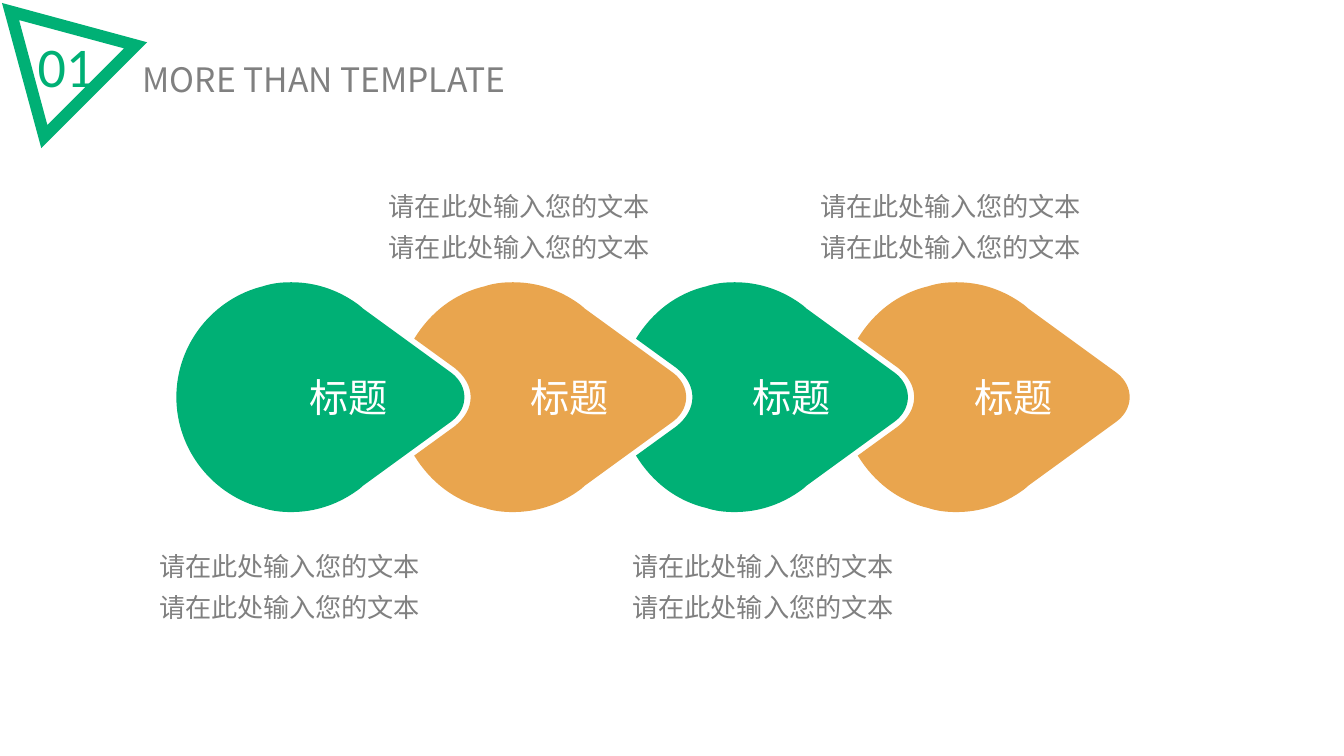
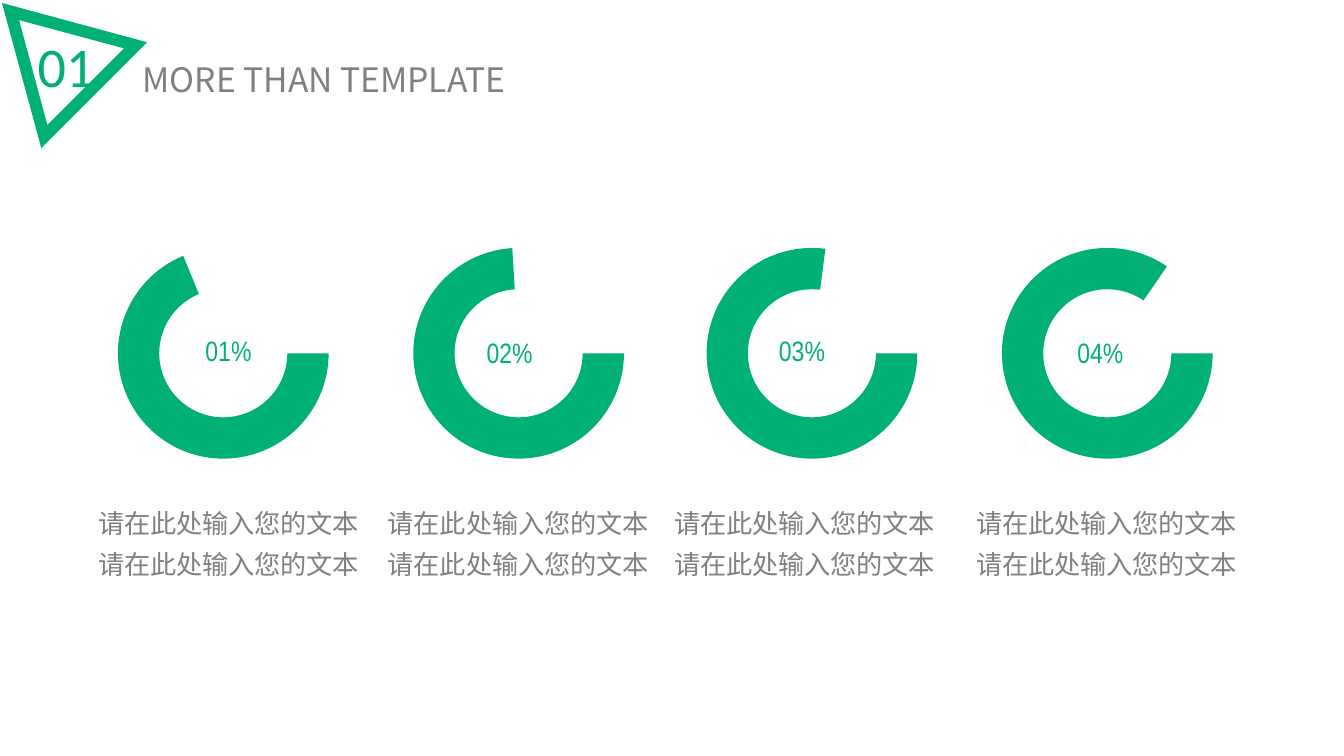
from dataclasses import dataclass

from lxml import etree
from pptx import Presentation
from pptx.dml.color import RGBColor
from pptx.enum.shapes import MSO_SHAPE
from pptx.enum.text import MSO_ANCHOR, MSO_AUTO_SIZE, PP_ALIGN
from pptx.oxml.ns import qn
from pptx.util import Inches, Pt

ARC = MSO_SHAPE.BLOCK_ARC
TOP, MID = MSO_ANCHOR.TOP, MSO_ANCHOR.MIDDLE
LEFT, MIDDLE = PP_ALIGN.LEFT, PP_ALIGN.CENTER
GROW, FIXED = MSO_AUTO_SIZE.SHAPE_TO_FIT_TEXT, MSO_AUTO_SIZE.NONE

GREEN, GOLD, GREY, WHITE = "00B075", "E9A54E", "808080", "FFFFFF"
HAN = "Noto Sans CJK SC"
NOTE = "请在此处输入您的文本"

Point = tuple[float, float]


@dataclass(frozen=True)
class Style:
    size: float
    color: str
    font: str = HAN
    align: PP_ALIGN = MIDDLE
    anchor: MSO_ANCHOR = TOP
    wrap: bool = True
    grow: bool = True
    inset: bool = True
    lead: float = 1.0


@dataclass(frozen=True)
class Drop:
    color: str
    left: float  # left edge of the note
    top: float


@dataclass(frozen=True)
class Ring:
    left: float
    gap: float  # open angle in degrees
    mark: Point
    note: float


NUMBER = Style(40, GREEN, "Calibri", anchor=MID, wrap=False)
HEAD = Style(24, GREY, anchor=MID)
LABEL = Style(28, WHITE, anchor=MID, grow=False, inset=False)
BODY = Style(18.67, GREY, lead=1.3)
SHARE = Style(20, GREEN, "Arial Narrow", align=LEFT, wrap=False)

# Drop geometry: curve points of the upper half, from the circle's centre
START, STEP, AXIS = 2.89, 2.2, 3.94
CROWN = [(1.59, -0.24), *[(0.71, -0.88)] * 3,
         (0.68, -0.91), (0.65, -0.93), (0.62, -0.95),
         (0.44, -1.07), (0.23, -1.14), (0, -1.14),
         (-0.1, -1.14), (-0.19, -1.13), (-0.28, -1.1)]
ROUND = [(-0.77, -0.98), (-1.14, -0.53), (-1.14, 0)]
NOTCH = [(-0.58, -1.03), (-0.82, -0.84), (-0.98, -0.58),
         *[(-0.58, -0.29)] * 3,
         (-0.48, -0.21), (-0.42, -0.11), (-0.42, 0)]
TIP = [(1.76, 0.11), (1.76, -0.11), (1.59, -0.24)]
DROPS = [Drop(GREEN, 1.41, 5.32), Drop(GOLD, 3.69, 1.75),
         Drop(GREEN, 6.11, 5.32), Drop(GOLD, 7.97, 1.75)]

RING, RISE = 2.09, 2.46
RINGS = [Ring(1.17, 112.36, (1.94, 3.26), 0.81),
         Ring(4.1, 93.45, (4.73, 3.28), 3.68),
         Ring(7.01, 82.65, (7.63, 3.26), 6.52),
         Ring(9.94, 55.55, (10.59, 3.28), 9.52)]


def paint(shape, color: str) -> None:
    shape.shadow.inherit = False
    shape.fill.solid()
    shape.fill.fore_color.rgb = RGBColor.from_string(color)
    shape.line.fill.background()


def write(slide, lines: list[str], x: float, y: float, w: float, h: float,
          style: Style) -> None:
    box = slide.shapes.add_textbox(Inches(x), Inches(y), Inches(w), Inches(h))
    frame = box.text_frame
    frame.word_wrap = style.wrap
    frame.auto_size = GROW if style.grow else FIXED
    frame.vertical_anchor = style.anchor
    if not style.inset:
        frame.margin_left = frame.margin_right = 0
        frame.margin_top = frame.margin_bottom = 0
    frame.text = "\n".join(lines)
    for para in frame.paragraphs:
        para.alignment = style.align
        para.line_spacing = style.lead
        font = para.font
        font.size, font.name = Pt(style.size), style.font
        font.color.rgb = RGBColor.from_string(style.color)
        etree.SubElement(font._element, qn("a:ea"), typeface=style.font)


def note(slide, x: float, y: float) -> None:
    write(slide, [NOTE, NOTE], x, y, 2.92, 0.92, BODY)


def outline(slide, loops: list[list[Point]], color: str):
    paths = [[(Inches(x), Inches(y)) for x, y in loop] for loop in loops]
    pen = slide.shapes.build_freeform(*paths[0][0])
    pen.add_line_segments(paths[0][1:], close=True)
    for path in paths[1:]:
        pen.move_to(*path[0])
        pen.add_line_segments(path[1:], close=True)
    shape = pen.convert_to_shape()
    paint(shape, color)
    return shape


def curve(shape) -> None:
    """Turn each three straight segments into one cubic curve."""
    lines = list(shape._element.iter(qn("a:lnTo")))
    for i in range(0, len(lines), 3):
        bend = etree.Element(qn("a:cubicBezTo"))
        lines[i].addprevious(bend)
        for line in lines[i:i + 3]:
            bend.append(line[0])
            line.getparent().remove(line)


def header(slide) -> None:
    write(slide, ["01"], 0.27, 0.26, 0.77, 0.77, NUMBER)
    outline(slide, [[(0.19, 0.2), (0.47, 1.24), (1.23, 0.48)],
                    [(0.02, 0.03), (1.46, 0.42), (0.41, 1.47)]], GREEN)
    write(slide, ["MORE THAN TEMPLATE"], 0.81, 0.53, 4.81, 0.51, HEAD)


def chain(slide) -> None:
    mids = [START + i * STEP for i in range(len(DROPS))]
    for i, (mid, drop) in enumerate(zip(mids, DROPS)):
        half = CROWN + (NOTCH if i else ROUND)
        loop = half + [(x, -y) for x, y in half[-2::-1]] + TIP
        curve(outline(slide, [[(mid + x, AXIS + y) for x, y in loop]],
                      drop.color))
    for mid in mids:
        write(slide, ["标题"], mid - 0.8, AXIS - 0.25, 2.73, 0.5, LABEL)
    for drop in DROPS:
        note(slide, drop.left, drop.top)


def rings(slide) -> None:
    for ring in RINGS:
        arc = slide.shapes.add_shape(ARC, Inches(ring.left), Inches(RISE),
                                     Inches(RING), Inches(RING))
        # Angles are stored in 60000ths of a degree, scaled by 100000
        arc.adjustments[0] = 0
        arc.adjustments[1] = (360 - ring.gap) * 0.6
        arc.adjustments[2] = 0.196
        paint(arc, GREEN)
    for i, ring in enumerate(RINGS, 1):
        write(slide, [f"{i:02}%"], *ring.mark, 0.7, 0.44, SHARE)
    for ring in RINGS:
        note(slide, ring.note, 4.89)


def main() -> None:
    deck = Presentation()
    deck.slide_width, deck.slide_height = Inches(40 / 3), Inches(7.5)
    for parts in ((chain, header), (header, rings)):
        slide = deck.slides.add_slide(deck.slide_layouts[6])
        for draw in parts:
            draw(slide)
    deck.save("out.pptx")


if __name__ == "__main__":
    main()
